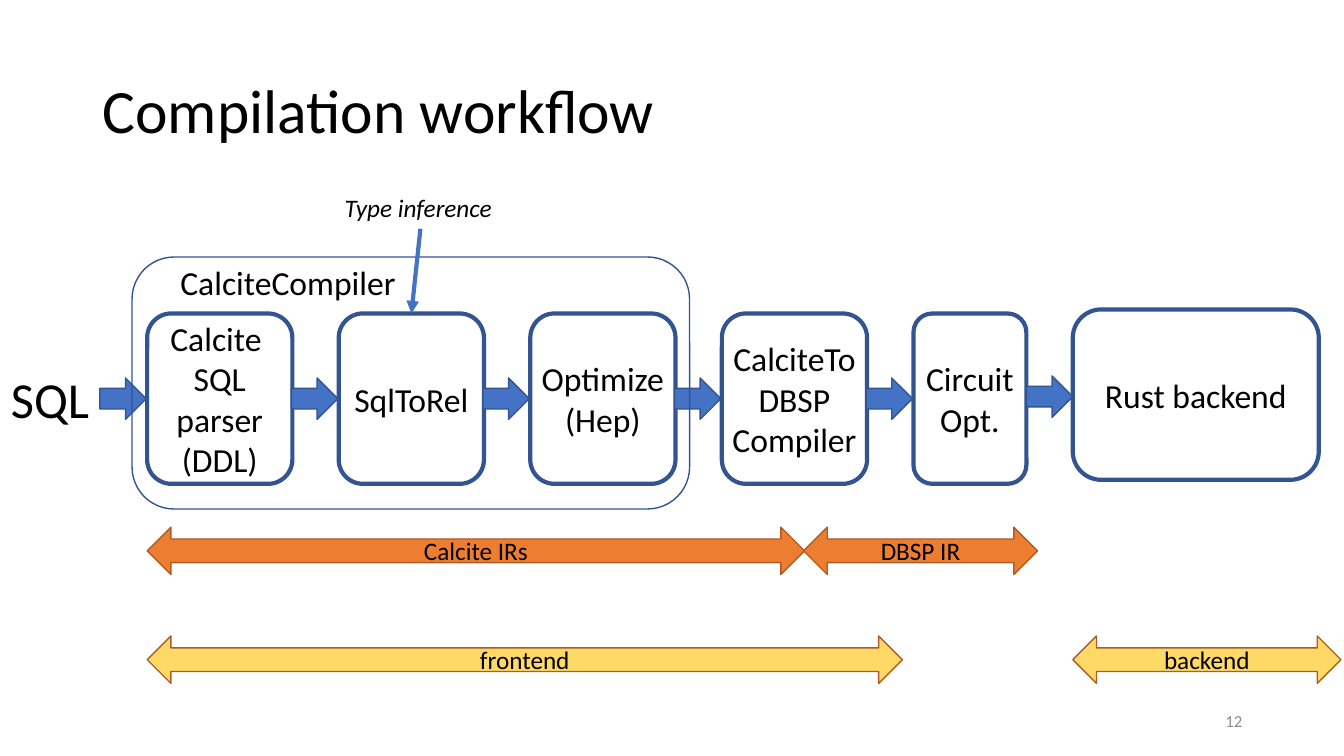
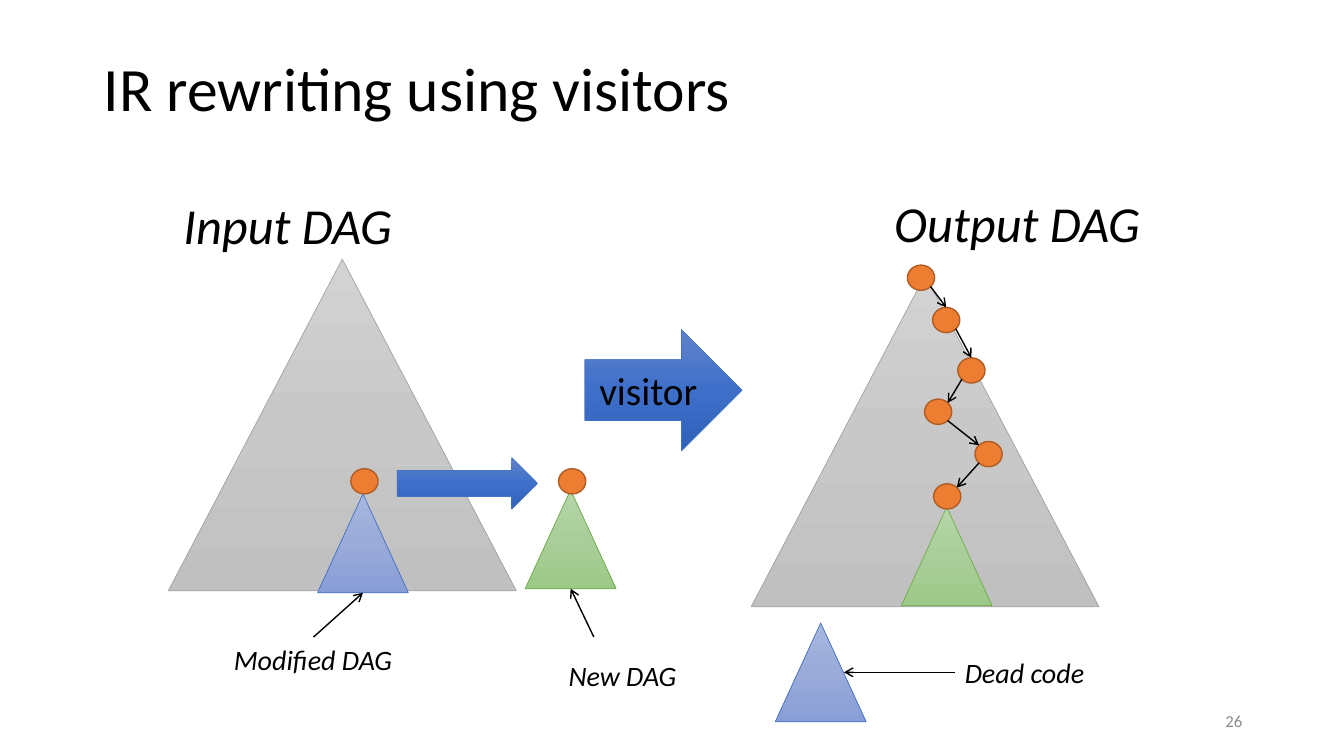
from copy import deepcopy

from lxml.etree import SubElement
from pptx import Presentation
from pptx.dml.color import RGBColor
from pptx.enum.shapes import MSO_CONNECTOR, MSO_SHAPE
from pptx.enum.text import MSO_ANCHOR, MSO_AUTO_SIZE, PP_ALIGN
from pptx.oxml.ns import qn
from pptx.util import Inches, Pt

BLACK, GREY = "000000", "8C8C8C"
BLUE, NAVY = "4472C4", "325491"
ORANGE, RUST, YELLOW = "ED7D31", "AF5C24", "FFD966"
GREY_FADE = ("D2D2D2", "C8C8C8", "C0C0C0")
GREEN_FADE = ("B5D5A7", "AACE9A", "9CC987")
PALE_BLUE_FADE = ("A8B7DF", "9AABD9", "889ED7")
BLUE_FADE = ("6183CB", "3E70CA", "3062BB")
NODE_W, NODE_H = 0.27, 0.25


def rgb(value):
    """Turn a hex string into a colour."""
    return RGBColor.from_string(value)


class Deck:
    """Holds the shared style and the current slide."""

    font = "Calibri"

    def __init__(self):
        """Start an empty widescreen presentation."""
        self.prs = Presentation()
        self.prs.slide_width = Inches(13.33)
        self.prs.slide_height = Inches(7.5)
        self.slide = None

    def add_slide(self, title, at, number):
        """Add a slide with its title and page number."""
        self.slide = self.prs.slides.add_slide(self.prs.slide_layouts[6])
        tf = self.text(title, at, 44, wrap=True, anchor=MSO_ANCHOR.MIDDLE)
        tf.paragraphs[0].line_spacing = 0.9
        self.text(number, (9.42, 6.95, 3, 0.4), 12, GREY, wrap=True,
                  anchor=MSO_ANCHOR.MIDDLE, align=PP_ALIGN.RIGHT)

    def add_runs(self, tf, text, size, color=BLACK, italic=False, align=PP_ALIGN.LEFT):
        """Add paragraphs split at newlines, and lines split at vertical tabs."""
        for i, para in enumerate(text.split("\n")):
            p = tf.add_paragraph() if i else tf.paragraphs[0]
            p.alignment = align
            for j, line in enumerate(para.split("\v")):
                if j:
                    p.add_line_break()
                r = p.add_run()
                r.text = line
                r.font.name = self.font
                r.font.size = Pt(size)
                r.font.italic = italic
                r.font.color.rgb = rgb(color)

    def text(self, text, at, size, color=BLACK, italic=False, wrap=False,
             anchor=MSO_ANCHOR.TOP, align=PP_ALIGN.LEFT):
        """Add a text box."""
        tf = self.slide.shapes.add_textbox(*map(Inches, at)).text_frame
        tf.word_wrap = wrap
        tf.auto_size = MSO_AUTO_SIZE.NONE if wrap else MSO_AUTO_SIZE.SHAPE_TO_FIT_TEXT
        tf.vertical_anchor = anchor
        self.add_runs(tf, text, size, color, italic, align)
        return tf

    def shape(self, kind, at, fill, line, width=1, text="", size=24, wrap=True):
        """Add a preset shape with no fill, a solid fill or a three-stop fade."""
        sp = self.slide.shapes.add_shape(kind, *map(Inches, at))
        sp.shadow.inherit = False
        if fill is None:
            sp.fill.background()
        elif isinstance(fill, str):
            sp.fill.solid()
            sp.fill.fore_color.rgb = rgb(fill)
        else:
            self.fade(sp, fill)
        sp.line.color.rgb = rgb(line)
        sp.line.width = Pt(width)
        if text:
            sp.text_frame.word_wrap = wrap
            sp.text_frame.vertical_anchor = MSO_ANCHOR.MIDDLE
            self.add_runs(sp.text_frame, text, size, align=PP_ALIGN.CENTER)

    def fade(self, sp, colors):
        """Fill a shape with a top-to-bottom gradient."""
        sp.fill.gradient()
        sp.fill.gradient_angle = 270
        stops = sp.element.spPr.find(".//" + qn("a:gsLst"))
        stops.insert(1, deepcopy(stops[0]))
        for stop, color, position in zip(sp.fill.gradient_stops, colors, (0, 0.5, 1)):
            stop.color.rgb = rgb(color)
            stop.position = position

    def box(self, text, at, wrap=False):
        """Add a rounded workflow step."""
        self.shape(MSO_SHAPE.ROUNDED_RECTANGLE, at, None, NAVY, 3, text, wrap=wrap)

    def step_arrow(self, x, y):
        """Add a block arrow between two steps."""
        self.shape(MSO_SHAPE.RIGHT_ARROW, (x, y, 0.46, 0.41), BLUE, NAVY)

    def span(self, text, x, y, width, fill):
        """Add a labelled double arrow."""
        self.shape(MSO_SHAPE.LEFT_RIGHT_ARROW, (x, y, width, 0.47), fill, RUST,
                   text=text, size=18)

    def dag(self, x, y, fill, line, width=0.9, height=0.98):
        """Add a triangle that stands for a graph."""
        self.shape(MSO_SHAPE.ISOSCELES_TRIANGLE, (x, y, width, height), fill, line, 0.5)

    def node(self, x, y):
        """Add a round graph node."""
        self.shape(MSO_SHAPE.OVAL, (x, y, NODE_W, NODE_H), ORANGE, RUST)

    def arrow(self, start, end, color=BLACK, width=1, head="arrow"):
        """Add a straight arrow."""
        cxn = self.slide.shapes.add_connector(
            MSO_CONNECTOR.STRAIGHT, *map(Inches, (*start, *end)))
        cxn.line.color.rgb = rgb(color)
        cxn.line.width = Pt(width)
        props = cxn.element.spPr
        SubElement(props.find(qn("a:ln")), qn("a:tailEnd"), type=head)
        SubElement(props, qn("a:effectLst"))


def workflow(deck):
    """Build the compilation workflow slide."""
    deck.add_slide("Compilation workflow", (0.92, 0.4, 11.5, 1.45), "12")
    deck.text("SQL", (0.01, 3.6, 0.99, 0.71), 36)
    steps = (
        ("Calcite \vSQL parser\v(DDL)", 1.44, True),
        ("SqlToRel", 1.44, False),
        ("Optimize\v(Hep)", 1.44, False),
        ("CalciteTo\vDBSP\vCompiler", 1.44, False),
        ("Circuit\nOpt.", 1.12, False),
    )
    for i, (text, width, wrap) in enumerate(steps):
        x = 1.46 + 1.9 * i
        deck.step_arrow(x - 0.47, 3.75)
        deck.box(text, (x, 3.11, width, 1.69), wrap)
    deck.box("Rust backend", (10.64, 3.07, 2.44, 1.69))
    deck.step_arrow(10.18, 3.73)
    deck.shape(MSO_SHAPE.ROUNDED_RECTANGLE, (1.31, 2.55, 5.53, 2.5), None, NAVY)
    deck.text("CalciteCompiler", (1.69, 2.55, 2.36, 0.5), 24)
    for span in (
        ("Calcite IRs", 1.46, 5.23, 6.52, ORANGE),
        ("DBSP IR", 7.97, 5.23, 2.32, ORANGE),
        ("frontend", 1.46, 6.31, 7.49, YELLOW),
        ("backend", 10.64, 6.31, 2.66, YELLOW),
    ):
        deck.span(*span)
    deck.text("Type inference", (3.32, 1.86, 1.71, 0.4), 18, italic=True)
    deck.arrow((4.17, 2.27), (4.08, 3.11), BLUE, 3, "triangle")


def rewriting(deck):
    """Build the IR rewriting slide."""
    deck.add_slide("IR rewriting using visitors", (0.93, 0.28, 9, 1.25), "26")
    for x, y in ((1.67, 2.57), (7.45, 2.73)):
        deck.dag(x, y, GREY_FADE, "A5A5A5", 3.45, 3.29)
    for x, y in ((8.94, 5.03), (5.21, 4.86)):
        deck.dag(x, y, GREEN_FADE, "70AD47")

    chain = ((9, 2.63), (9.25, 3.05), (9.5, 3.55), (9.17, 3.96), (9.67, 4.38), (9.26, 4.8))
    for x, y in ((3.48, 4.65), (5.54, 4.65), *chain):
        deck.node(x, y)
    for x, y in ((3.15, 4.9), (7.69, 6.18)):
        deck.dag(x, y, PALE_BLUE_FADE, BLUE)

    deck.shape(MSO_SHAPE.RIGHT_ARROW, (5.8, 3.27, 1.56, 1.2), BLUE_FADE, BLUE, 0.5,
               "visitor", 28)
    deck.shape(MSO_SHAPE.RIGHT_ARROW, (3.94, 4.54, 1.39, 0.51), BLUE_FADE, BLUE, 0.5)

    for text, at, size in (
        ("Input DAG", (1.72, 1.88, 2.29, 0.71), 36),
        ("Output DAG", (8.77, 1.86, 2.66, 0.71), 36),
        ("Modified DAG", (2.22, 6.32, 1.79, 0.44), 20),
        ("New DAG", (5.54, 6.48, 1.28, 0.44), 20),
        ("Dead code", (9.47, 6.45, 1.39, 0.44), 20),
    ):
        deck.text(text, at, size, italic=True)
    for start, end in (
        ((3.11, 6.32), (3.6, 5.88)),
        ((5.89, 6.32), (5.66, 5.84)),
        ((9.47, 6.67), (8.37, 6.67)),
    ):
        deck.arrow(start, end)

    near, far = 0.15, 0.85
    exits = (far, far, near, far, near)
    entries = ((0.5, 0), (0.5, 0), (far, near), (near, near), (far, near))
    for (x1, y1), (x2, y2), out, (across, down) in zip(chain, chain[1:], exits, entries):
        deck.arrow((x1 + out * NODE_W, y1 + far * NODE_H),
                   (x2 + across * NODE_W, y2 + down * NODE_H))


def main():
    """Build and save the deck."""
    deck = Deck()
    workflow(deck)
    rewriting(deck)
    deck.prs.save("out.pptx")


if __name__ == "__main__":
    main()
